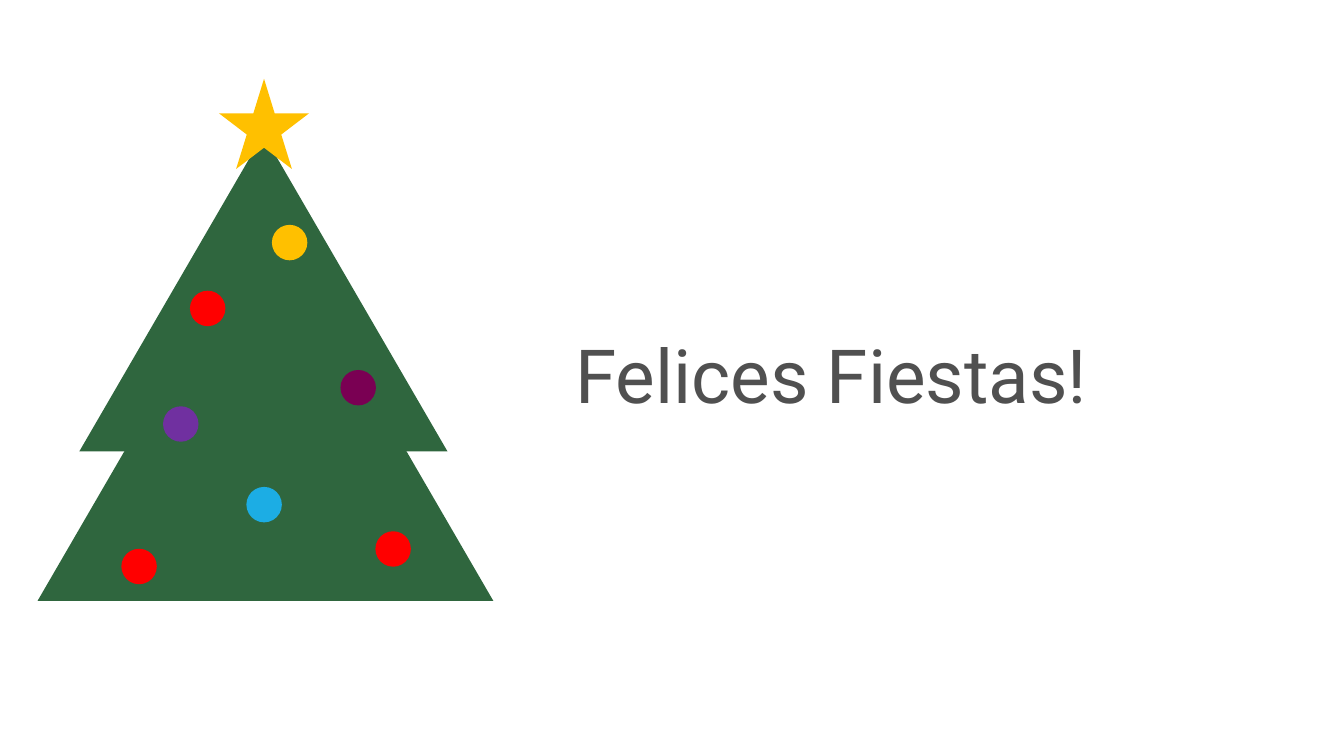
from lxml import etree
from pptx import Presentation
from pptx import util as u
from pptx.dml.color import RGBColor
from pptx.enum import shapes, text
from pptx.oxml.ns import qn

COLORS = {
    "text": "505050",
    "tree": "2F663E",
    "gold": "FFC000",
    "red": "FF0000",
    "blue": "1CADE4",
    "plum": "7A0053",
    "purple": "7030A0",
}
BAUBLE_SIZE = 0.25
BAUBLES = [
    (2.8, 3.96, "red"),
    (1.84, 3.63, "blue"),
    (0.91, 4.09, "red"),
    (2.54, 2.76, "plum"),
    (1.22, 3.03, "purple"),
    (1.42, 2.17, "red"),
    (2.03, 1.68, "gold"),
]


def rgb(name):
    return RGBColor.from_string(COLORS[name])


def place(shape, left, top, width, height):
    shape.left, shape.top = u.Inches(left), u.Inches(top)
    shape.width, shape.height = u.Inches(width), u.Inches(height)


def add_greeting(slide, words):
    box = slide.placeholders[1]
    place(box, 4.13, 2.1, 5.87, 1.42)
    frame = box.text_frame
    frame.text = words
    frame.word_wrap = True
    frame.auto_size = text.MSO_AUTO_SIZE.NONE
    frame.vertical_anchor = text.MSO_ANCHOR.MIDDLE
    frame.margin_left = frame.margin_right = u.Inches(0.15)
    frame.margin_top = frame.margin_bottom = u.Inches(0.12)
    para = frame.paragraphs[0]
    para.alignment = text.PP_ALIGN.LEFT
    para.line_spacing = 0.95
    para.space_before = u.Pt(0)
    para.space_after = u.Pt(12)
    para.font.name = "Roboto"
    para.font.size = u.Pt(40)
    para.font.color.rgb = rgb("text")


def add_figure(slide, kind, left, top, width, height, color, outlined=True):
    """Add a preset shape in one colour, with a sharp 1 pt outline if asked."""
    figure = slide.shapes.add_shape(
        kind, u.Inches(left), u.Inches(top), u.Inches(width), u.Inches(height))
    figure.shadow.inherit = False
    figure.fill.solid()
    figure.fill.fore_color.rgb = rgb(color)
    if outlined:
        figure.line.color.rgb = rgb(color)
        figure.line.width = u.Pt(1)
        outline = figure.element.spPr.find(qn("a:ln"))
        etree.SubElement(outline, qn("a:miter"), lim="800000")
    else:
        figure.line.fill.background()


def add_tree(slide):
    kinds = shapes.MSO_SHAPE
    for tier in [(0.59, 1, 2.74, 2.36), (0.28, 1.55, 3.39, 2.92)]:
        add_figure(slide, kinds.ISOSCELES_TRIANGLE, *tier, "tree", outlined=False)
    add_figure(slide, kinds.STAR_5_POINT, 1.65, 0.61, 0.63, 0.63, "gold")
    for left, top, color in BAUBLES:
        add_figure(slide, kinds.FLOWCHART_CONNECTOR, left, top,
                   BAUBLE_SIZE, BAUBLE_SIZE, color)


def main():
    deck = Presentation()
    deck.slide_width = u.Inches(10)
    deck.slide_height = u.Inches(10 * 9 / 16)
    section_layout = deck.slide_layouts[2]
    slide = deck.slides.add_slide(section_layout)
    title = slide.shapes.title.element
    title.getparent().remove(title)
    add_greeting(slide, "Felices Fiestas!")
    add_tree(slide)
    deck.save("out.pptx")


if __name__ == "__main__":
    main()
